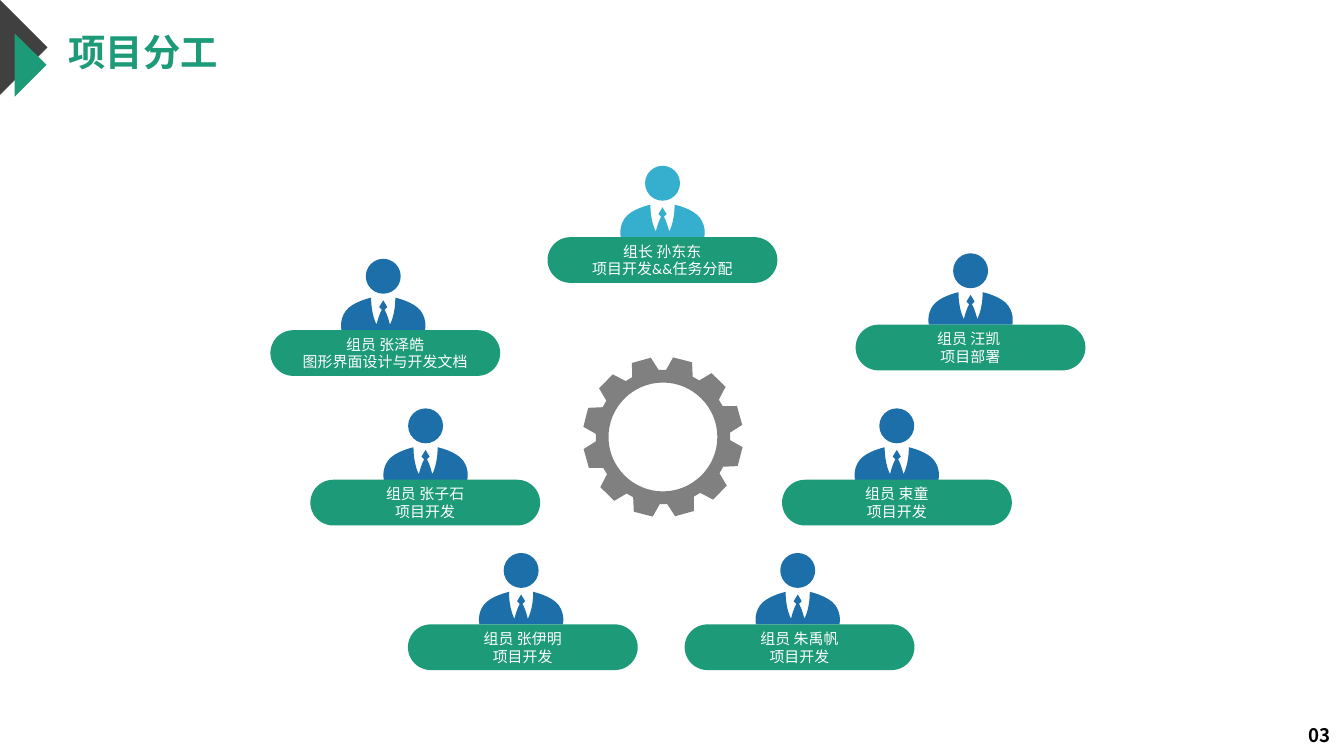
from dataclasses import dataclass
from math import cos, hypot, radians, sin

from lxml.etree import SubElement
from pptx import Presentation
from pptx.dml.color import RGBColor
from pptx.enum.shapes import MSO_SHAPE
from pptx.enum.text import MSO_ANCHOR, PP_ALIGN
from pptx.oxml.ns import qn
from pptx.util import Inches, Pt

# The slide is a grid of square cells, a thousand columns across.
COLS, ROWS = 1000, 562.5
CELL = Inches(10) / COLS

GREEN, DARK, GRAY = "1D9A78", "404040", "808080"
BLUE, SKY, WHITE, BLACK = "1D6FA9", "36AFCE", "FFFFFF", "000000"

HEAD = 26
BODY = 24.2
RISE = 53.1  # from the top of the head to the top of the label
PILL_W, PILL_H = 171, 34

Point = tuple[float, float]


@dataclass(frozen=True)
class Member:
    name: str
    task: str
    x: float  # centre of the figure
    mid: float  # centre of the label
    top: float  # top of the label
    color: str = BLUE


TEAM = [
    Member("组长 孙东东", "项目开发&&任务分配", 493, 492.9, 176.5, SKY),
    Member("组员 汪凯 ", "项目部署", 722.2, 722.1, 241.6),
    Member("组员 束童", "项目开发", 667.3, 667.4, 357),
    Member("组员 朱禹帆", "项目开发", 593.6, 594.9, 464.6),
    Member("组员 张伊明", "项目开发", 387.8, 389, 464.6),
    Member("组员 张子石", "项目开发", 316.7, 316.4, 357),
    Member("组员 张泽皓", "图形界面设计与开发文档", 285.2, 286.7, 245.7),
]

# Right half of the bust, from its base to the tie knot: curves by their
# control points, as columns from the axis and rows from the collar.
BASE = (31, BODY)
CURVES = [
    BASE, (33, 17), (28, 10),
    (23, 3), (9, 0), (9, 0),
    (9, 13), (5, 20), (5, 20),
    (3, 12), (1, 9), (1, 9),
]
TIE = [(3, 7), (0, 2)]


def color(code: str) -> RGBColor:
    return RGBColor.from_string(code)


def cells(*sizes: float) -> list[int]:
    return [round(size * CELL) for size in sizes]


def paint(shape, fill: str) -> None:
    shape.shadow.inherit = False
    shape.fill.solid()
    shape.fill.fore_color.rgb = color(fill)
    shape.line.fill.background()


def curve(shape) -> None:
    """Turn each three line segments into one cubic curve."""
    track = next(shape.element.iter(qn("a:path")))
    lines = track.findall(qn("a:lnTo"))
    for trio in zip(lines[::3], lines[1::3], lines[2::3]):
        cubic = SubElement(track, qn("a:cubicBezTo"))
        trio[0].addprevious(cubic)
        for line in trio:
            cubic.append(line[0])
            track.remove(line)


def outline(slide, fill: str, *rings: list[Point], curved: bool = False) -> None:
    """Draw closed rings as one shape; inner rings are holes."""
    first, *rest = [[cells(*point) for point in ring] for ring in rings]
    # A curved ring closes by itself, so that its points stay in threes.
    pen = slide.shapes.build_freeform(*first[0], scale=1.0)
    pen.add_line_segments(first[1:])
    for ring in rest:
        pen.move_to(*ring[0])
        pen.add_line_segments(ring[1:])
    shape = pen.convert_to_shape()
    paint(shape, fill)
    if curved:
        curve(shape)


def straight(points: list[Point]) -> list[Point]:
    """Lines written as the control points of curves."""
    return [point for point in points for _ in range(3)]


def bust() -> list[Point]:
    half = [BASE, *CURVES, *straight(TIE)]
    left = [(-x, y) for x, y in reversed(half[:-1])]
    return half + left + straight([BASE])


def polar(x: float, y: float, size: float, angle: float) -> Point:
    """Point at a clockwise angle from the top."""
    turn = radians(angle)
    return x + size * sin(turn), y - size * cos(turn)


def ring(x: float, y: float, size: float) -> list[Point]:
    """Circle of four curves, counterclockwise."""
    grip = hypot(1, 0.55)
    lean = 28.81
    points = [polar(x, y, size, 0)]
    for start in (0, 90, 180, 270):
        points += [polar(x, y, size * grip, -start - lean),
                   polar(x, y, size * grip, -start - 90 + lean),
                   polar(x, y, size, -start - 90)]
    return points


def gear(slide, x: float, y: float) -> None:
    tooth = [(50, 2.7), (59.7, 7.3), (59.7, 21.3), (50, 26.3)]
    rim = [polar(x, y, size, start + angle)
           for start in range(0, 360, 30) for size, angle in tooth]
    edge = [rim[0], *straight(rim[1:] + rim[:1])]
    outline(slide, GRAY, edge, ring(x, y, 40.5), curved=True)


def style(para, size: float, font: str, code: str, bold: bool = False) -> None:
    para.font.size = Pt(size)
    para.font.name = font
    para.font.bold = bold
    para.font.color.rgb = color(code)


def trim(frame) -> None:
    frame.margin_left = frame.margin_right = 0
    frame.margin_top = frame.margin_bottom = 0
    frame.vertical_anchor = MSO_ANCHOR.MIDDLE


def person(slide, who: Member, form: list[Point]) -> None:
    head = slide.shapes.add_shape(
        MSO_SHAPE.OVAL,
        *cells(who.x - HEAD / 2, who.top - RISE, HEAD, HEAD))
    paint(head, who.color)
    bottom = [(who.x + x, who.top - BODY + y) for x, y in form]
    outline(slide, who.color, bottom, curved=True)


def label(slide, who: Member) -> None:
    pill = slide.shapes.add_shape(
        MSO_SHAPE.ROUNDED_RECTANGLE,
        *cells(who.mid - PILL_W / 2, who.top, PILL_W, PILL_H))
    pill.adjustments[0] = 0.5
    paint(pill, GREEN)
    frame = pill.text_frame
    trim(frame)
    frame.text = f"{who.name}\n{who.task}"
    for para in frame.paragraphs:
        para.alignment = PP_ALIGN.CENTER
        style(para, 8, "Calibri", WHITE)


def heading(slide, text: str) -> None:
    title = slide.shapes.title
    title.left, title.top, title.width, title.height = cells(51, 21.5, 112, 34)
    frame = title.text_frame
    trim(frame)
    frame.word_wrap = False
    frame.text = text
    para = frame.paragraphs[0]
    para.alignment = PP_ALIGN.LEFT
    style(para, 20, "Arial Narrow", GREEN, bold=True)


def number(slide, text: str) -> None:
    box = slide.shapes.add_textbox(*cells(964, 533.5, 36, 27))
    frame = box.text_frame
    frame.word_wrap = False
    frame.text = text
    style(frame.paragraphs[0], 10, "Noto Sans CJK SC", BLACK, bold=True)


def main() -> None:
    deck = Presentation()
    deck.slide_width, deck.slide_height = cells(COLS, ROWS)
    slide = deck.slides.add_slide(deck.slide_layouts[5])
    outline(slide, DARK, [(0, 0), (35.3, 35.3), (0, 70.5)])
    outline(slide, GREEN, [(11, 25), (34.7, 48.3), (11, 72)])
    heading(slide, "项目分工")
    form = bust()
    for who in TEAM:
        person(slide, who, form)
        label(slide, who)
    gear(slide, 493.3, 325.2)
    number(slide, "03")
    deck.save("out.pptx")


if __name__ == "__main__":
    main()
